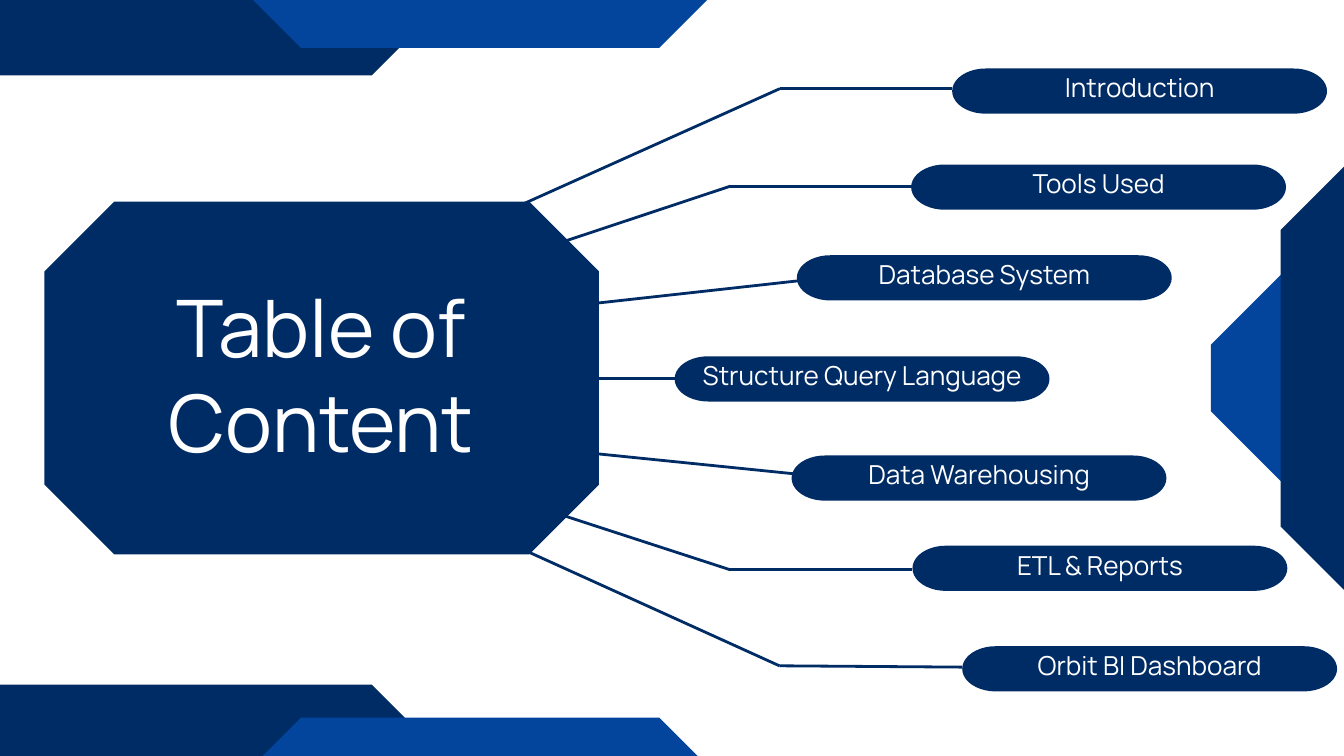
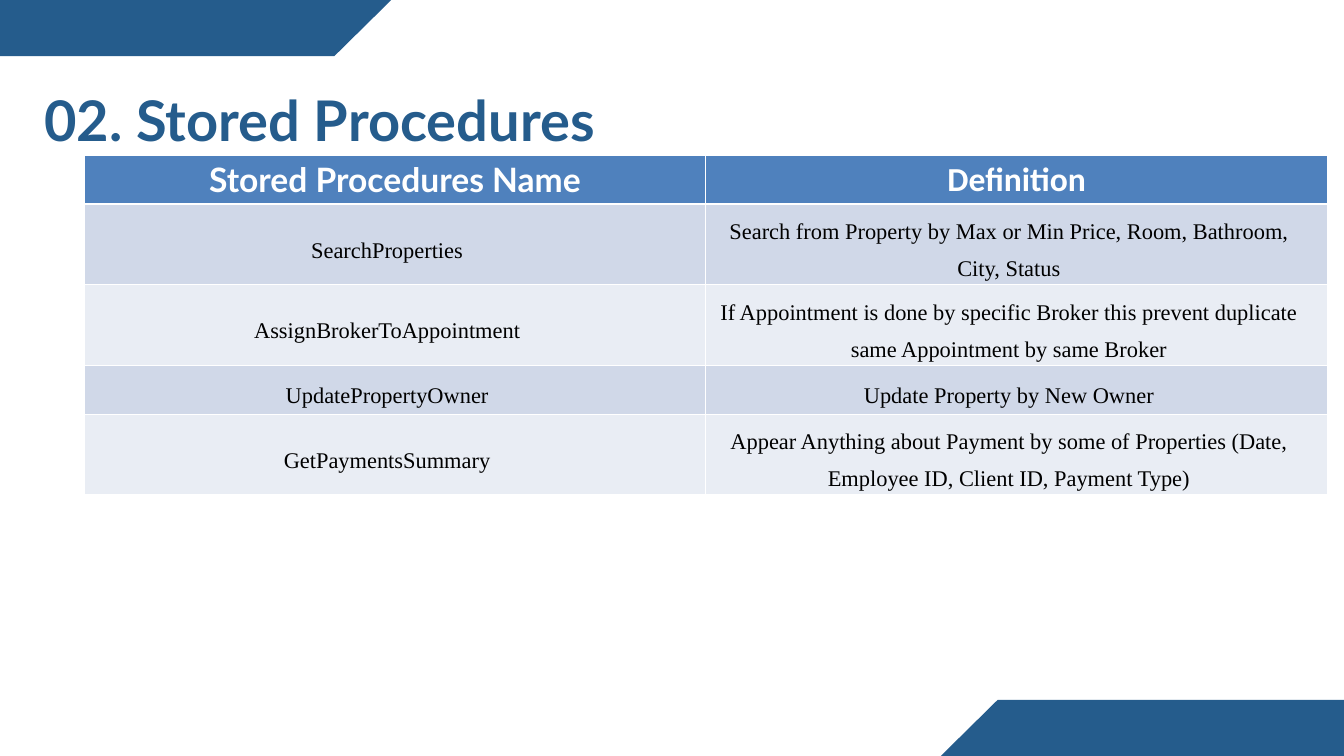
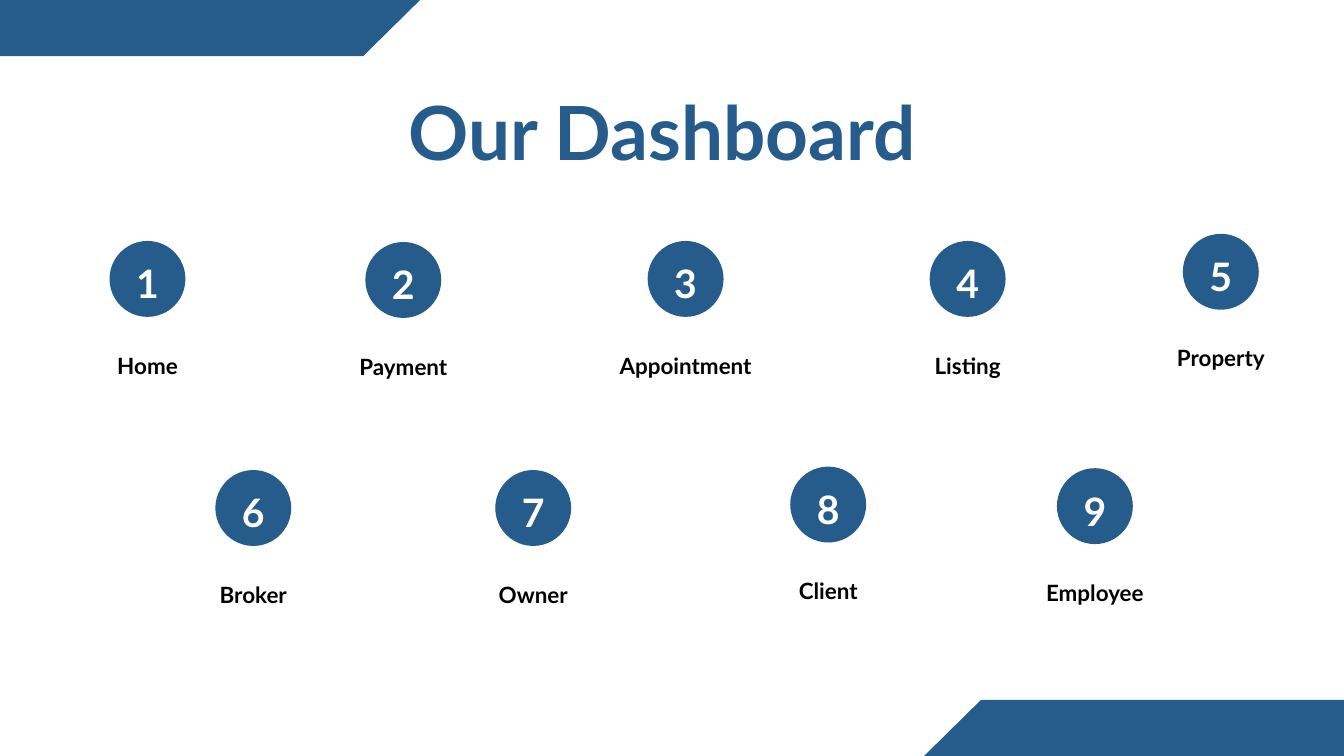
from itertools import pairwise
from math import cos, pi, sin

from lxml.etree import SubElement
from pptx import Presentation
from pptx.dml.color import RGBColor
from pptx.enum.shapes import MSO_CONNECTOR as Link, MSO_SHAPE as Preset
from pptx.enum.text import MSO_ANCHOR as Anchor, PP_ALIGN as Align
from pptx.oxml.ns import qn
from pptx.util import Cm, Pt

SLIDE_W, SLIDE_H = 50.8, 28.58
NAVY, ROYAL, STEEL = "002C66", "03459D", "255C8C"
WHITE, BLACK = "FFFFFF", "000000"
HEADER_FILL, ROW_FILLS = "4F81BD", ("D0D8E8", "E9EDF4")

NO_MARGINS = dict.fromkeys(
    ("margin_left", "margin_top", "margin_right", "margin_bottom"), 0)
CELL_MARGINS = NO_MARGINS | {"margin_left": Cm(0.18), "margin_right": Cm(0.78)}

CORNER_CUT = 2.64
PILL_W, PILL_H, PILL_CAP = 14.17, 1.71, 1.27
BAND_W, BAND_H = 18.52, 2.12
BADGE = 2.87
LABEL_W = 8.58

# topic, left and top of its pill, route of its line
TOPICS = [
    ("Introduction", 35.99, 2.59, [(19.53, 7.82), (29.48, 3.35), (35.99, 3.35)]),
    ("Tools Used", 34.44, 6.22, [(20.5, 9.4), (27.6, 7.04), (34.49, 7.04)]),
    ("Database System", 30.12, 9.65, [(20.75, 11.66), (30.15, 10.62)]),
    ("Structure Query Language", 25.5, 13.47, [(16, 14.3), (25.5, 14.3)]),
    ("Data Warehousing", 29.92, 17.22, [(20.75, 16.97), (30, 17.91)]),
    ("ETL & Reports", 34.49, 20.63, [(20.5, 19.23), (27.6, 21.54), (34.49, 21.54)]),
    ("Orbit BI Dashboard", 36.37, 24.43, [(19.43, 20.62), (29.46, 25.17), (36.37, 25.22)]),
]

PROCEDURES = [
    ("SearchProperties",
     "Search from Property by Max or Min Price, Room, Bathroom, City, Status"),
    ("AssignBrokerToAppointment",
     "If Appointment is done by specific Broker this prevent duplicate "
     "same Appointment by same Broker"),
    ("UpdatePropertyOwner", "Update Property by New Owner"),
    ("GetPaymentsSummary",
     "Appear Anything about Payment by some of Properties "
     "(Date, Employee ID, Client ID, Payment Type)"),
]
ROW_HEIGHTS = (1.83, 3.05, 3.05, 1.83, 3.05)

# dashboard page, left and top of its badge
PAGES = [
    ("Home", 4.14, 9.11), ("Payment", 13.81, 9.15), ("Appointment", 24.48, 9.11),
    ("Listing", 35.14, 9.11), ("Property", 44.71, 8.84),
    ("Broker", 8.14, 17.77), ("Owner", 18.72, 17.77),
    ("Client", 29.87, 17.64), ("Employee", 39.95, 17.7),
]


def rgb(value):
    return RGBColor.from_string(value)


def apply(target, values):
    for name, value in values.items():
        setattr(target, name, value)


def type_style(font, size, color, bold=False):
    return {"name": font, "size": Pt(size), "bold": bold}, color


class Deck:
    def __init__(self):
        self.prs = Presentation()
        self.prs.slide_width, self.prs.slide_height = Cm(SLIDE_W), Cm(SLIDE_H)

    def new_slide(self):
        self.slide = self.prs.slides.add_slide(self.prs.slide_layouts[6])
        self.shapes = self.slide.shapes

    def set_text(self, frame, text, style, align=Align.CENTER, spacing=None):
        paragraph = frame.paragraphs[0]
        paragraph.text = text
        apply(paragraph, {"alignment": align, "line_spacing": spacing})
        font, color = style
        apply(paragraph.font, font)
        paragraph.font.color.rgb = rgb(color)

    def paint(self, shape, color):
        shape.shadow.inherit = False
        shape.fill.solid()
        shape.fill.fore_color.rgb = rgb(color)
        shape.line.fill.background()
        return shape

    def preset(self, kind, box, color, cut=None):
        """Draw a plain shape; cut is the length its adjustment takes off."""
        shape = self.paint(self.shapes.add_shape(kind, *map(Cm, box)), color)
        if cut is not None:
            shape.adjustments[0] = cut / min(box[2:])

    def octagon(self, box, color):
        self.preset(Preset.OCTAGON, box, color, CORNER_CUT)

    def text(self, box, text, style, spacing, align=Align.CENTER):
        frame = self.shapes.add_textbox(*map(Cm, box)).text_frame
        apply(frame, NO_MARGINS | {"word_wrap": True})
        self.set_text(frame, text, style, align, Pt(spacing))

    def pill(self, left, top, text, steps=20):
        """Draw a bar whose ends are half ellipses, wider than half circles."""
        arc = [(PILL_CAP * sin(pi * i / steps), PILL_H / 2 * cos(pi * i / steps))
               for i in range(steps + 1)]
        middle = top + PILL_H / 2
        outline = [(left + PILL_W - PILL_CAP + x, middle - y) for x, y in arc]
        outline += [(left + PILL_CAP - x, middle + y) for x, y in arc]
        points = [(Cm(x), Cm(y)) for x, y in outline]
        builder = self.shapes.build_freeform(*points[0], scale=1.0)
        builder.add_line_segments(points[1:], close=True)
        frame = self.paint(builder.convert_to_shape(), NAVY).text_frame
        apply(frame, {"word_wrap": True, "vertical_anchor": Anchor.TOP})
        self.set_text(frame, text, type_style("Manrope", 28, WHITE))

    def route(self, points):
        for start, end in pairwise(points):
            line = self.shapes.add_connector(Link.STRAIGHT, *map(Cm, start + end))
            line.line.color.rgb = rgb(NAVY)
            line.line.width = Pt(3)
            SubElement(line._element.spPr, qn("a:effectLst"))

    def bands(self, top_left, bottom_left):
        for left, top in ((top_left, 0), (bottom_left, SLIDE_H - BAND_H)):
            self.preset(Preset.PARALLELOGRAM, (left, top, BAND_W, BAND_H), STEEL, 2.15)

    def cell(self, cell, text, style, fill, bottom=1, spacing=None, **layout):
        apply(cell, layout)
        self.set_text(cell.text_frame, text, style, spacing=spacing)
        tc_pr = cell._tc.get_or_add_tcPr()
        for side, width in (("L", 1), ("R", 1), ("T", 1), ("B", bottom)):
            border = SubElement(tc_pr, qn(f"a:ln{side}"), w=str(Pt(width)))
            SubElement(SubElement(border, qn("a:solidFill")), qn("a:srgbClr"), val=WHITE)
        cell.fill.solid()
        cell.fill.fore_color.rgb = rgb(fill)


def contents_slide(deck):
    deck.new_slide()
    for top in (-3.58, 25.88):
        deck.octagon((-2.97, top, 19.66, 6.43), NAVY)
    for top in (-4.62, 27.13):
        deck.octagon((8.74, top, 18.82, 6.43), ROYAL)
    deck.octagon((45.77, 10.39, 10.46, 7.8), ROYAL)
    deck.octagon((48.41, 6.05, 10.46, 16.5), NAVY)
    deck.octagon((1.68, 7.62, 20.96, 13.34), NAVY)
    deck.text((2.46, 10.52, 19.35, 7.37), "Table of Content",
              type_style("Manrope", 85, WHITE), 102)
    for topic, left, top, points in TOPICS:
        deck.route(points)
        deck.pill(left, top, topic)


def procedures_slide(deck):
    deck.new_slide()
    deck.bands(-3.73, 35.56)
    deck.text((1.68, 3.07, 23.52, 2.72), "02. Stored Procedures",
              type_style("Lato", 60, STEEL, True), 77, Align.LEFT)
    table = deck.shapes.add_table(
        len(ROW_HEIGHTS), 2, Cm(3.18), Cm(5.89), Cm(47), Cm(sum(ROW_HEIGHTS))).table
    for row, height in zip(table.rows, ROW_HEIGHTS):
        row.height = Cm(height)
    headings = (("Stored Procedures Name", "Lato", Anchor.MIDDLE),
                ("Definition", "Calibri", Anchor.TOP))
    for column, (heading, font, anchor) in enumerate(headings):
        deck.cell(table.cell(0, column), heading, type_style(font, 36, WHITE, True),
                  HEADER_FILL, bottom=3, vertical_anchor=anchor)
    body = type_style("Times New Roman", 24, BLACK)
    for row, procedure in enumerate(PROCEDURES, 1):
        for column, text in enumerate(procedure):
            deck.cell(table.cell(row, column), text, body, ROW_FILLS[(row - 1) % 2],
                      spacing=1.5, vertical_anchor=Anchor.MIDDLE, **CELL_MARGINS)


def dashboard_slide(deck):
    deck.new_slide()
    deck.bands(-2.64, 34.93)
    deck.text((14, 3.51, 22.05, 3.2), "Our Dashboard",
              type_style("Lato", 80, STEEL, True), 88)
    for number, (page, left, top) in enumerate(PAGES, 1):
        deck.preset(Preset.OVAL, (left, top, BADGE, BADGE), STEEL)
        deck.text((left, top + 0.16, BADGE, 2.16), str(number),
                  type_style("Lato", 42, WHITE, True), 65.9)
        deck.text((left + (BADGE - LABEL_W) / 2, top + 4.27, LABEL_W, 0.97), page,
                  type_style("Lato", 24, BLACK, True), 26.4)


def main():
    deck = Deck()
    contents_slide(deck)
    procedures_slide(deck)
    dashboard_slide(deck)
    deck.prs.save("out.pptx")


if __name__ == "__main__":
    main()
